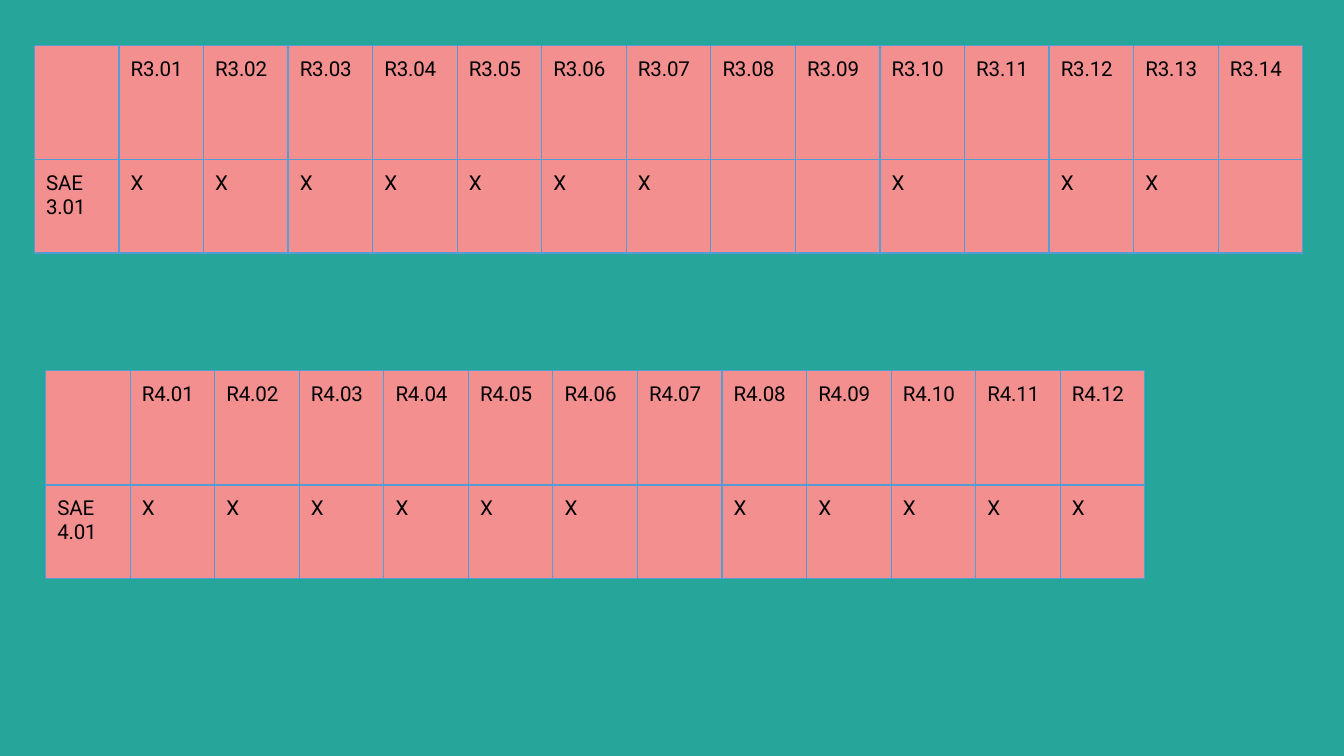
import dataclasses

import pptx
import pptx.dml.color
import pptx.oxml.ns
import pptx.util
from lxml import etree

Pt = pptx.util.Pt


# Colours, type and cell sizes
@dataclasses.dataclass(frozen=True)
class Theme:
    back: str = "26A69A"
    cell: str = "F48F8F"
    line: str = "559BD6"
    text: str = "000000"
    font: str = "Roboto"
    size: float = 11
    weight: float = 0.75
    pad: float = 6.3
    tight: int = -10
    width: float = 45.3
    rows: tuple = (61.2, 50.1)


THEME = Theme()
MARK = "Χ"


def paint(fill, tint):
    fill.solid()
    fill.fore_color.rgb = pptx.dml.color.RGBColor.from_string(tint)


def frame(cell):
    """Draw the four borders of a cell."""
    props = cell._tc.get_or_add_tcPr()
    for side in ("a:lnL", "a:lnR", "a:lnT", "a:lnB"):
        line = etree.SubElement(props, pptx.oxml.ns.qn(side), w=str(Pt(THEME.weight)))
        fill = etree.SubElement(line, pptx.oxml.ns.qn("a:solidFill"))
        etree.SubElement(fill, pptx.oxml.ns.qn("a:srgbClr"), val=THEME.line)


def write(cell, text):
    para = cell.text_frame.paragraphs[0]
    para.space_before = Pt(THEME.pad)
    para._p.get_or_add_pPr().set("marL", str(Pt(THEME.pad)))
    run = para.add_run()
    run.text = text
    run.font.name = THEME.font
    run.font.size = Pt(THEME.size)
    run.font.color.rgb = pptx.dml.color.RGBColor.from_string(THEME.text)
    if text != MARK:
        run._r.get_or_add_rPr().set("spc", str(THEME.tight))


def style(cell, text):
    cell.margin_left = cell.margin_right = cell.margin_bottom = 0
    cell.margin_top = Pt(THEME.pad)
    frame(cell)
    paint(cell.fill, THEME.cell)
    if text:
        write(cell, text)


def add_grid(slide, left, top, term, count, blanks):
    """Add a table of courses, marking all but the blank ones."""
    span = range(1, count + 1)
    data = (
        [""] + [f"R{term}.{n:02}" for n in span],
        [f"SAE {term}.01"] + ["" if n in blanks else MARK for n in span],
    )
    table = slide.shapes.add_table(
        2, count + 1, Pt(left), Pt(top),
        Pt(THEME.width * (count + 1)), Pt(sum(THEME.rows)),
    ).table
    table.first_row = table.horz_banding = False
    for col in table.columns:
        col.width = Pt(THEME.width)
    for row, high, texts in zip(table.rows, THEME.rows, data):
        row.height = Pt(high)
        for cell, text in zip(row.cells, texts):
            style(cell, text)


def main():
    deck = pptx.Presentation()
    deck.slide_width, deck.slide_height = Pt(720), Pt(405)
    slide = deck.slides.add_slide(deck.slide_layouts[6])
    paint(slide.background.fill, THEME.back)

    # Third term, then fourth term
    add_grid(slide, 18.4, 24.3, term=3, count=14, blanks={8, 9, 11, 14})
    add_grid(slide, 24.4, 198.6, term=4, count=12, blanks={7})

    deck.save("out.pptx")


if __name__ == "__main__":
    main()
